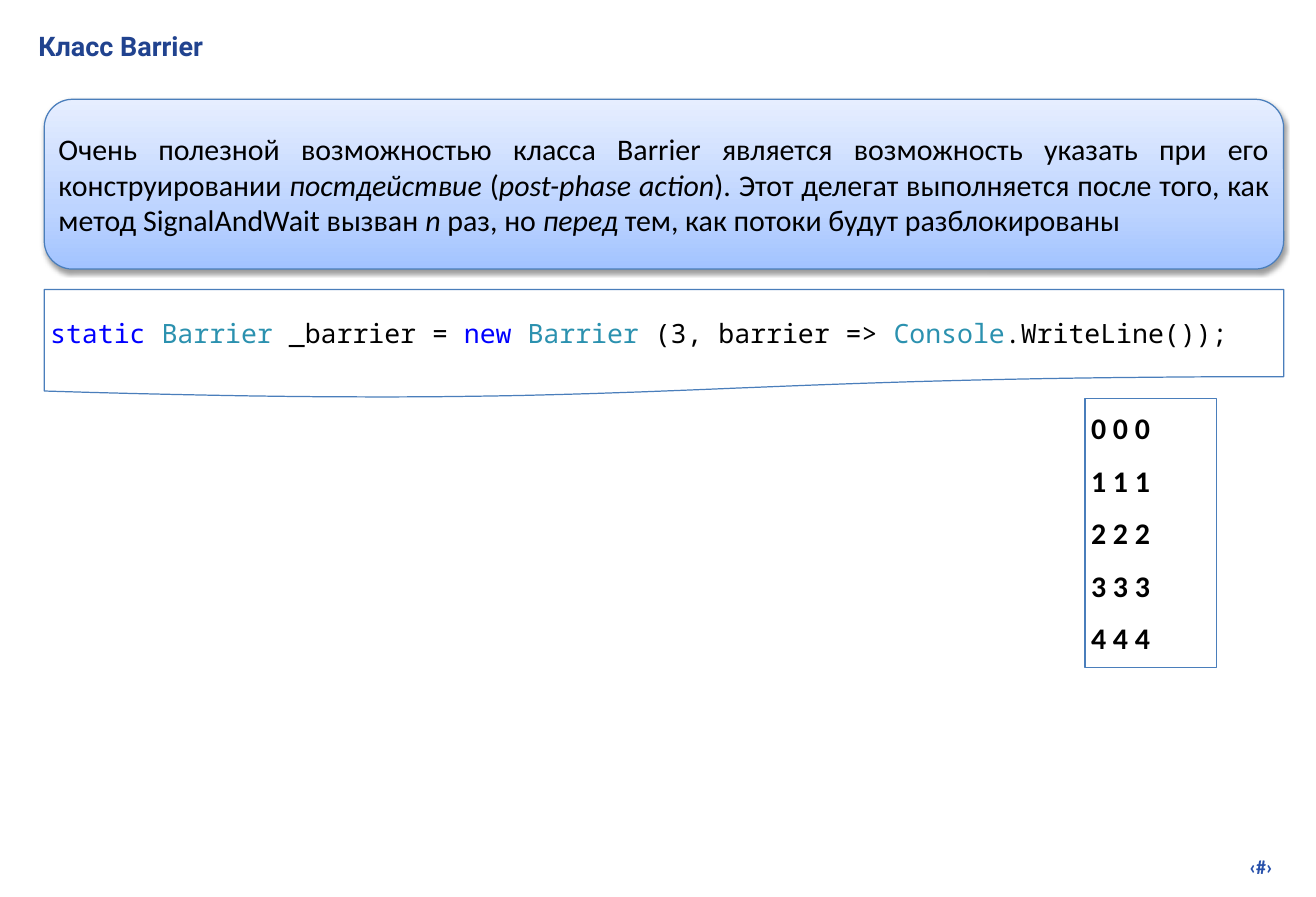
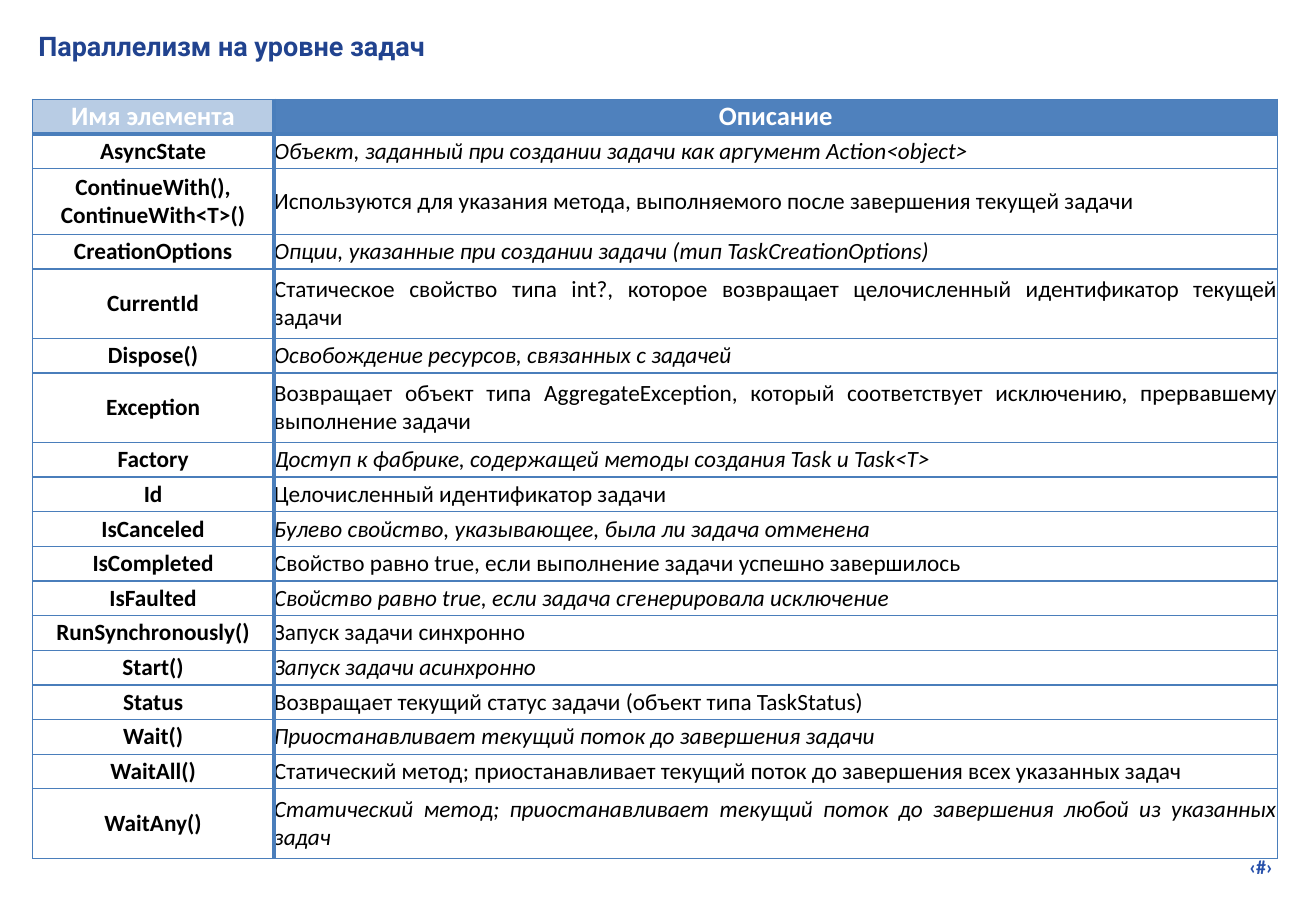
import copy
from dataclasses import dataclass

import pptx
import pptx.dml.color
import pptx.enum.shapes
import pptx.enum.text
import pptx.oxml
import pptx.oxml.ns
import pptx.util

SCALE = 9144  # EMU in one px, 100 px to the inch
ALIGN = pptx.enum.text.PP_ALIGN
ANCHOR = pptx.enum.text.MSO_ANCHOR
FORM = pptx.enum.shapes.MSO_SHAPE
Pt = pptx.util.Pt

SANS, MONO, HEAD = "Calibri", "Noto Sans Mono", "Roboto"
BLACK, WHITE, EDGE = "000000", "FFFFFF", "4A7EBB"
NAVY, FOOT = "21438F", "2750AB"
BAND, PALE = "4F81BD", "B8CCE4"
WORD, TYPE = "0000FF", "2B91AF"
THIN, THICK = 0.75, 2.25


@dataclass(frozen=True)
class Box:
    left: int
    top: int
    width: int
    height: int

    def emu(self) -> tuple[int, ...]:
        return tuple(px(v) for v in (self.left, self.top, self.width, self.height))


@dataclass(frozen=True)
class Run:
    text: str
    color: str = BLACK
    italic: bool = False


@dataclass(frozen=True)
class Style:
    size: float
    font: str = SANS
    color: str = BLACK
    bold: bool = False
    italic: bool = False
    align: ALIGN = ALIGN.LEFT


@dataclass(frozen=True)
class Row:
    name: str
    about: str
    height: int = 29


TITLE = Box(27, 20, 1050, 40)
NUMBER = Box(836, 710, 233, 29)
NOTE = Box(37, 83, 1036, 142)
CODE = Box(37, 242, 1036, 73)
RESULT = Box(907, 333, 110, 225)
GRID = Box(27, 83, 1041, 635)
COLS = (202, 839)

NOTE_RUNS = [
    Run("Очень полезной возможностью класса Barrier является возможность "
        "указать при его конструировании "),
    Run("постдействие", italic=True),
    Run(" ("),
    Run("post-phase action", italic=True),
    Run("). Этот делегат выполняется после того, как метод SignalAndWait вызван "),
    Run("n ", italic=True),
    Run("раз, но "),
    Run("перед ", italic=True),
    Run("тем, как потоки будут разблокированы"),
]
CODE_RUNS = [
    Run("static ", WORD), Run("Barrier", TYPE), Run(" _barrier = "),
    Run("new ", WORD), Run("Barrier", TYPE), Run(" (3, barrier => "),
    Run("Console", TYPE), Run(".WriteLine());"),
]
ROWS = [
    Row("Имя элемента", "Описание"),
    Row("AsyncState", "Объект, заданный при создании задачи как аргумент Action<object>"),
    Row("ContinueWith(),\nContinueWith<T>()",
        "Используются для указания метода, выполняемого после завершения текущей задачи", 55),
    Row("CreationOptions", "Опции, указанные при создании задачи (тип TaskCreationOptions)"),
    Row("CurrentId", "Статическое свойство типа int?, которое возвращает "
        "целочисленный идентификатор текущей задачи", 58),
    Row("Dispose()", "Освобождение ресурсов, связанных с задачей"),
    Row("Exception", "Возвращает объект типа AggregateException, который "
        "соответствует исключению, прервавшему выполнение задачи", 58),
    Row("Factory", "Доступ к фабрике, содержащей методы создания Task и Task<T>"),
    Row("Id", "Целочисленный идентификатор задачи"),
    Row("IsCanceled", "Булево свойство, указывающее, была ли задача отменена"),
    Row("IsCompleted", "Свойство равно true, если выполнение задачи успешно завершилось"),
    Row("IsFaulted", "Свойство равно true, если задача сгенерировала исключение"),
    Row("RunSynchronously()", "Запуск задачи синхронно"),
    Row("Start()", "Запуск задачи асинхронно"),
    Row("Status", "Возвращает текущий статус задачи (объект типа TaskStatus)"),
    Row("Wait()", "Приостанавливает текущий поток до завершения задачи"),
    Row("WaitAll()", "Статический метод; приостанавливает текущий поток "
        "до завершения всех указанных задач"),
    Row("WaitAny()", "Статический метод; приостанавливает текущий поток "
        "до завершения любой из указанных задач", 58),
]


def px(value: float) -> int:
    return round(value * SCALE)


def rgb(value: str) -> pptx.dml.color.RGBColor:
    return pptx.dml.color.RGBColor.from_string(value)


def format_par(par, style: Style) -> None:
    par.alignment = style.align
    font = par.font
    font.name, font.size = style.font, Pt(style.size)
    font.bold, font.italic = style.bold, style.italic
    font.color.rgb = rgb(style.color)


def set_frame(frame, anchor=ANCHOR.MIDDLE, inset: int = 5) -> None:
    frame.word_wrap = True
    frame.auto_size = pptx.enum.text.MSO_AUTO_SIZE.NONE
    frame.vertical_anchor = anchor
    frame.margin_left = frame.margin_right = px(inset)
    frame.margin_top = frame.margin_bottom = px(inset)


def write(frame, text: str, style: Style, gap: int = 0) -> None:
    """Put each line of text in its own paragraph, gap points apart."""
    frame.text = text
    for i, par in enumerate(frame.paragraphs):
        format_par(par, style)
        if i and gap:
            par.space_before = Pt(gap)


def write_runs(frame, parts: list[Run], style: Style) -> None:
    par = frame.paragraphs[0]
    format_par(par, style)
    for part in parts:
        run = par.add_run()
        run.text = part.text
        run.font.color.rgb = rgb(part.color)
        run.font.italic = part.italic


def paint(shape, fill: str = WHITE) -> None:
    shape.shadow.inherit = False
    shape.fill.solid()
    shape.fill.fore_color.rgb = rgb(fill)
    shape.line.color.rgb = rgb(EDGE)
    shape.line.width = Pt(THIN)
    set_frame(shape.text_frame)


def add_page(deck, title: str):
    """Add a slide with the shared title and number."""
    slide = deck.slides.add_slide(deck.slide_layouts[5])
    head = slide.shapes.title
    head.left, head.top, head.width, head.height = TITLE.emu()
    set_frame(head.text_frame, ANCHOR.TOP)
    write(head.text_frame, title, Style(16.2, HEAD, NAVY, bold=True))
    foot = slide.shapes.add_textbox(*NUMBER.emu()).text_frame
    set_frame(foot, ANCHOR.TOP)
    write(foot, "‹#›", Style(12, color=FOOT, bold=True, align=ALIGN.RIGHT))
    return slide


def add_note(slide) -> None:
    note = slide.shapes.add_shape(FORM.ROUNDED_RECTANGLE, *NOTE.emu())
    note.adjustments[0] = 0.167
    paint(note)
    note.fill.gradient()
    note.fill.gradient_angle = 90
    props = note._element.spPr
    stops = props.find(".//" + pptx.oxml.ns.qn("a:gsLst"))
    stops.insert(1, copy.deepcopy(stops[0]))
    shades = ((0, "A2C3FF"), (0.35, "BDD4FF"), (1, "E6EEFF"))
    for stop, (place, color) in zip(note.fill.gradient_stops, shades):
        stop.position = place
        stop.color.rgb = rgb(color)
    props.find(pptx.oxml.ns.qn("a:effectLst")).append(pptx.oxml.parse_xml(
        f'<a:outerShdw {pptx.oxml.ns.nsdecls("a")} blurRad="{Pt(3)}" '
        f'dist="{Pt(1.6)}" dir="5400000" rotWithShape="0">'
        f'<a:srgbClr val="{BLACK}"><a:alpha val="38000"/></a:srgbClr></a:outerShdw>'))
    write_runs(note.text_frame, NOTE_RUNS, Style(18, align=ALIGN.JUSTIFY))


def add_code(slide) -> None:
    """Draw the code on a sheet with a wavy lower edge."""
    left, top, right = CODE.left, CODE.top, CODE.left + CODE.width
    low, mid = top + CODE.height, (left + right) / 2
    bend = ((right, low), (mid, low), (mid, low + 28), (left, low + 12))
    points = [(px(right), px(top))]
    steps = 40
    for i in range(steps + 1):
        t = i / steps
        rates = ((1 - t) ** 3, 3 * t * (1 - t) ** 2, 3 * t * t * (1 - t), t ** 3)
        points.append(tuple(px(sum(r * p[axis] for r, p in zip(rates, bend)))
                            for axis in (0, 1)))
    pen = slide.shapes.build_freeform(px(left), px(top))
    pen.add_line_segments(points, close=True)
    sheet = pen.convert_to_shape()
    paint(sheet)
    sheet.text_frame.margin_bottom = px(22)
    write_runs(sheet.text_frame, CODE_RUNS, Style(16, MONO))


def add_result(slide) -> None:
    box = slide.shapes.add_shape(FORM.RECTANGLE, *RESULT.emu())
    paint(box)
    lines = "\n".join(" ".join(str(n) * 3) for n in range(5))
    write(box.text_frame, lines, Style(18, bold=True), gap=10)


def set_edges(cell, widths: dict[str, float]) -> None:
    props = cell._tc.get_or_add_tcPr()
    for i, side in enumerate("LRTB"):
        props.insert(i, pptx.oxml.parse_xml(
            f'<a:ln{side} {pptx.oxml.ns.nsdecls("a")} w="{Pt(widths.get(side, THIN))}">'
            f'<a:solidFill><a:srgbClr val="{EDGE}"/></a:solidFill></a:ln{side}>'))


def add_grid(slide) -> None:
    table = slide.shapes.add_table(len(ROWS), len(COLS), *GRID.emu()).table
    table.horz_banding = False
    for col, width in zip(table.columns, COLS):
        col.width = px(width)
    for i, row in enumerate(ROWS):
        table.rows[i].height = px(row.height)
        if i == 0:
            style = Style(16, color=WHITE, bold=True, align=ALIGN.CENTER)
            styles, fills = (style, style), (PALE, BAND)
        else:
            styles = (Style(14, bold=True, align=ALIGN.CENTER),
                      Style(14, italic=i % 2 == 1, align=ALIGN.JUSTIFY))
            fills = (WHITE, WHITE)
        for j, text in enumerate((row.name, row.about)):
            cell = table.cell(i, j)
            cell.fill.solid()
            cell.fill.fore_color.rgb = rgb(fills[j])
            cell.vertical_anchor = ANCHOR.MIDDLE
            cell.margin_left = cell.margin_right = 0
            cell.margin_top = cell.margin_bottom = 0
            write(cell.text_frame, text, styles[j])
            widths = {"LR"[1 - j]: THICK}
            if i < 2:
                widths["BT"[i]] = THICK
            set_edges(cell, widths)


def main() -> None:
    deck = pptx.Presentation()
    deck.slide_width, deck.slide_height = px(1100), px(750)
    page = add_page(deck, "Класс Barrier")
    add_note(page)
    add_code(page)
    add_result(page)
    add_grid(add_page(deck, "Параллелизм на уровне задач"))
    deck.save("out.pptx")


if __name__ == "__main__":
    main()
